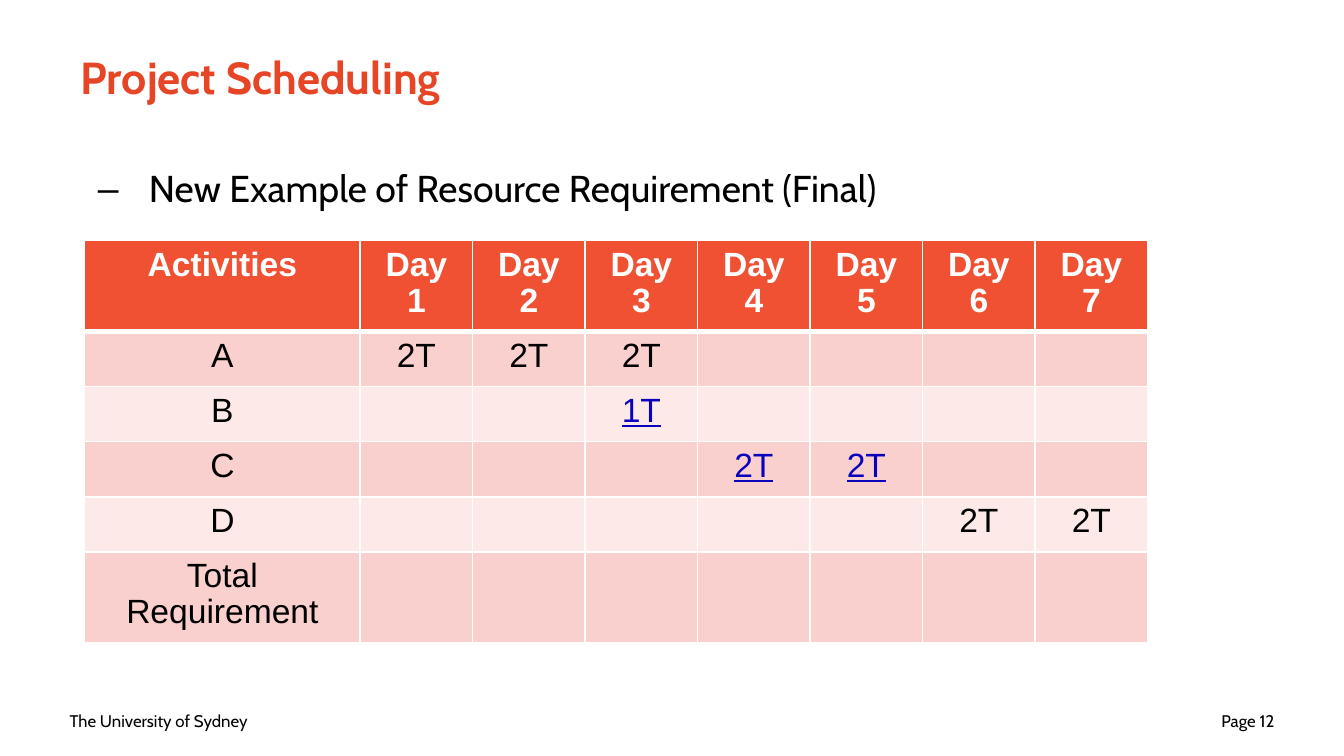
"""Build the project scheduling slide with its resource requirement table."""
from lxml import etree
from pptx import Presentation
from pptx.dml.color import RGBColor
from pptx.enum.text import MSO_ANCHOR, PP_ALIGN
from pptx.oxml.ns import qn
from pptx.util import Inches, Pt

LEFT, CENTER, RIGHT = PP_ALIGN.LEFT, PP_ALIGN.CENTER, PP_ALIGN.RIGHT
TOP, MIDDLE = MSO_ANCHOR.TOP, MSO_ANCHOR.MIDDLE
WHITE = RGBColor(0xFF, 0xFF, 0xFF)
BLACK = RGBColor(0, 0, 0)
TITLE_RED = RGBColor(0xE6, 0x46, 0x26)
HEADER_RED = RGBColor(0xF0, 0x51, 0x33)
BANDS = [RGBColor(0xFC, 0xE9, 0xE8), RGBColor(0xF9, 0xD0, 0xCE)]
BLUE = RGBColor(0x0B, 0x02, 0xBE)

TITLE = "Project Scheduling"
BULLET = "New Example of Resource Requirement (Final)"
FOOTERS = [("The University of Sydney", 0.42, LEFT), ("Page 12", 7.25, RIGHT)]
DAYS = 7
ACTIVITIES = [
    ("A", {1: "2T", 2: "2T", 3: "2T"}),
    ("B", {3: "1T"}),
    ("C", {4: "2T", 5: "2T"}),
    ("D", {6: "2T", 7: "2T"}),
    ("Total Requirement", {}),
]
SHIFTED = {"B", "C"}
TABLE_AREA = (0.63, 1.79, 7.91, 3.02)
ACTIVITY_WIDTH = 2.05
DAY_WIDTH = (TABLE_AREA[2] - ACTIVITY_WIDTH) / DAYS
ROW_HEIGHT = 0.41

TITLE_FONT = {"name": "Cabin", "size": Pt(24), "bold": True}
BODY_FONT = {"name": "Cabin", "size": Pt(20)}
FOOTER_FONT = {"name": "Cabin", "size": Pt(9)}
HEADER_FONT = {"name": "Arial", "size": Pt(18), "bold": True}
CELL_FONT = {"name": "Arial", "size": Pt(18), "bold": False}
SHIFTED_FONT = {**CELL_FONT, "underline": True}


def write(frame, text, font, color, align=LEFT):
    para = frame.paragraphs[0]
    para.alignment = align
    span = para.add_run()
    span.text = text
    for name, value in font.items():
        setattr(span.font, name, value)
    span.font.color.rgb = color
    return para


def add_text(page, area, text, font, color, align=LEFT, anchor=TOP):
    frame = page.shapes.add_textbox(*map(Inches, area)).text_frame
    frame.word_wrap = True
    frame.vertical_anchor = anchor
    return write(frame, text, font, color, align)


def add_borders(cell, widths):
    properties = cell._tc.get_or_add_tcPr()
    for side, width in widths.items():
        line = etree.SubElement(properties, qn(f"a:ln{side}"), w=str(Pt(width)))
        fill = etree.SubElement(line, qn("a:solidFill"))
        etree.SubElement(fill, qn("a:srgbClr"), val=str(WHITE))


def add_schedule(page):
    rows = [("Activities", {day: f"Day {day}" for day in range(1, DAYS + 1)})] + ACTIVITIES
    table = page.shapes.add_table(len(rows), DAYS + 1, *map(Inches, TABLE_AREA)).table
    for c, column in enumerate(table.columns):
        column.width = Inches(DAY_WIDTH if c else ACTIVITY_WIDTH)
    for row in table.rows:
        row.height = Inches(ROW_HEIGHT)
    for r, (activity, loads) in enumerate(rows):
        texts = {0: activity, **loads}
        for c in range(DAYS + 1):
            cell = table.cell(r, c)
            add_borders(cell, {"L": 1, "R": 1, "T": 3 if r == 1 else 1, "B": 3 if r == 0 else 1})
            cell.fill.solid()
            cell.fill.fore_color.rgb = BANDS[r % 2] if r else HEADER_RED
            if r == 0:
                font, color = HEADER_FONT, WHITE
            elif c and activity in SHIFTED:
                font, color = SHIFTED_FONT, BLUE
            else:
                font, color = CELL_FONT, BLACK
            if c in texts:
                para = write(cell.text_frame, texts[c], font, color, CENTER)
                para.line_spacing = 0.96


def main():
    deck = Presentation()
    deck.slide_width, deck.slide_height = Inches(10), Inches(10 * 9 / 16)
    page = deck.slides.add_slide(deck.slide_layouts[5])

    for text, left, align in FOOTERS:
        add_text(page, (left, 5.21, 2.33, 0.3), text, FOOTER_FONT, BLACK, align, MIDDLE)

    title = page.shapes.title
    title.left, title.top, title.width, title.height = map(Inches, (0.5, 0.1, 9, 0.94))
    title.text_frame.vertical_anchor = MIDDLE
    write(title.text_frame, TITLE, TITLE_FONT, TITLE_RED)

    para = add_text(page, (0.63, 1.22, 8.82, 3.71), BULLET, BODY_FONT, BLACK)
    para.line_spacing = 0.9
    properties = para._p.get_or_add_pPr()
    properties.set("marL", str(Inches(0.38)))
    properties.set("indent", str(Inches(-0.38)))
    etree.SubElement(properties, qn("a:buFont"), typeface="Arial")
    etree.SubElement(properties, qn("a:buChar"), char="–")

    add_schedule(page)
    deck.save("out.pptx")


if __name__ == "__main__":
    main()
